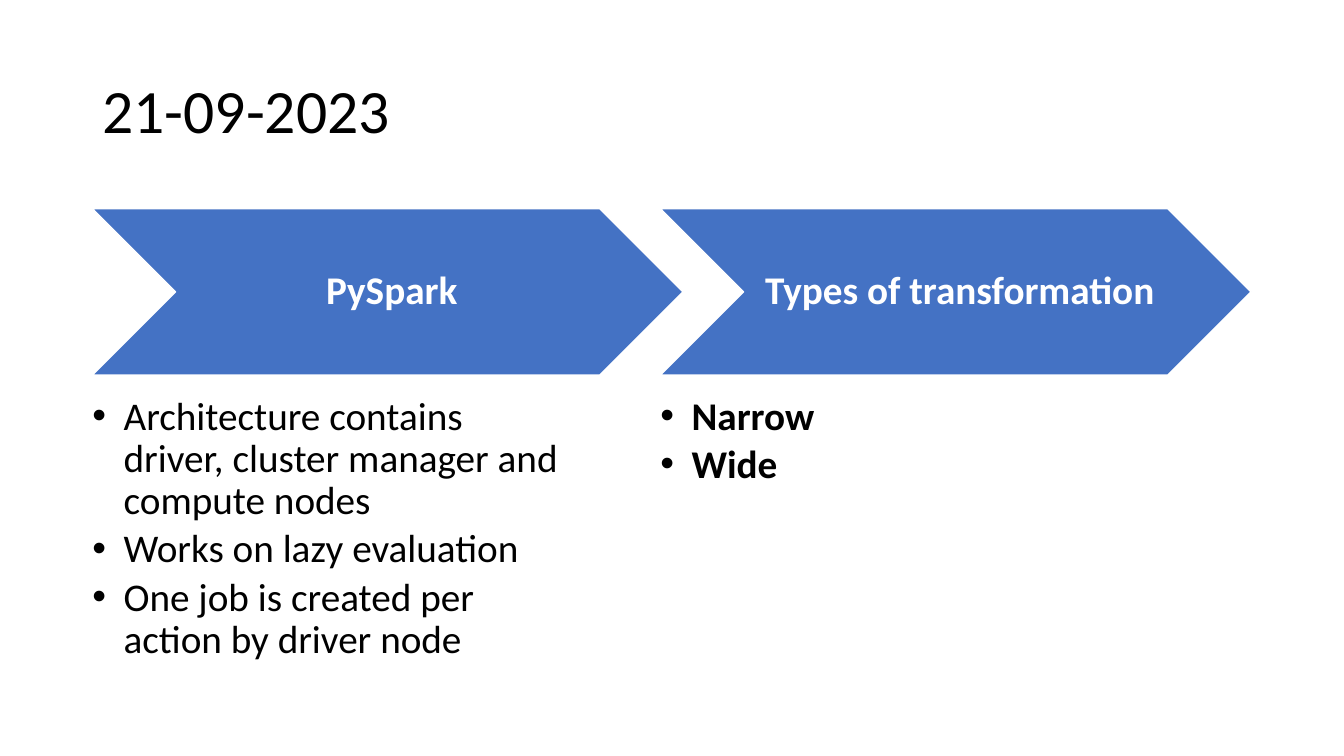
import dataclasses
import pptx
import pptx.util
import pptx.dml.color
import pptx.enum.shapes
import pptx.enum.text
import pptx.oxml.ns
import lxml.etree


@dataclasses.dataclass(frozen=True)
class Theme:
    font: str = "Calibri"
    ink: str = "000000"
    paper: str = "FFFFFF"
    blue: str = "4472C4"
    head: int = 44
    text: int = 28
    line: float = 0.9


class Board:
    """Draws styled elements on one slide, measured on a 160 by 90 grid."""

    def __init__(self, deck, theme):
        self.theme = theme
        self.unit = deck.slide_height / 90
        self.slide = deck.slides.add_slide(deck.slide_layouts[3])

    def span(self, *cells):
        return [round(cell * self.unit) for cell in cells]

    def place(self, holder, *cells):
        holder.left, holder.top, holder.width, holder.height = self.span(*cells)

    def frame(self, shape, anchor, insets=None):
        frame = shape.text_frame
        frame.word_wrap = True
        frame.auto_size = pptx.enum.text.MSO_AUTO_SIZE.NONE
        frame.vertical_anchor = anchor
        if insets:
            (frame.margin_left, frame.margin_top,
             frame.margin_right, frame.margin_bottom) = map(pptx.util.Inches, insets)
        return frame

    def label(self, para, text, size, color, bold=False, align="LEFT", after=0):
        para.alignment = pptx.enum.text.PP_ALIGN[align]
        para.line_spacing = self.theme.line
        para.space_before = pptx.util.Pt(0)
        para.space_after = pptx.util.Pt(after)
        run = para.add_run()
        run.text = text
        font = run.font
        font.name, font.size, font.bold = self.theme.font, pptx.util.Pt(size), bold
        font.color.rgb = pptx.dml.color.RGBColor.from_string(color)

    def title(self, text, *cells):
        holder = self.slide.shapes.title
        self.place(holder, *cells)
        frame = self.frame(holder, pptx.enum.text.MSO_ANCHOR.MIDDLE)
        self.label(frame.paragraphs[0], text, self.theme.head, self.theme.ink)

    def arrow(self, text, *cells):
        shape = self.slide.shapes.add_shape(
            pptx.enum.shapes.MSO_SHAPE.CHEVRON, *self.span(*cells))
        shape.shadow.inherit = False
        shape.fill.solid()
        shape.fill.fore_color.rgb = pptx.dml.color.RGBColor.from_string(self.theme.blue)
        shape.line.color.rgb = pptx.dml.color.RGBColor.from_string(self.theme.paper)
        shape.line.width = pptx.util.Pt(1)
        frame = self.frame(shape, pptx.enum.text.MSO_ANCHOR.MIDDLE, (0.12, 0.04, 0.04, 0.04))
        self.label(frame.paragraphs[0], text, self.theme.text, self.theme.paper, True, "CENTER")

    def list(self, index, items, bold, *cells):
        holder = self.slide.placeholders[index]
        self.place(holder, *cells)
        frame = self.frame(holder, pptx.enum.text.MSO_ANCHOR.TOP, (0, 0, 0, 0))
        for rank, item in enumerate(items):
            para = frame.add_paragraph() if rank else frame.paragraphs[0]
            self.label(para, item, self.theme.text, self.theme.ink, bold, after=4.2)
            self.bullet(para)

    def bullet(self, para):
        props = para._p.get_or_add_pPr()
        indent = pptx.util.Inches(0.31)
        props.set("marL", str(indent))
        props.set("indent", str(-indent))
        mark = lxml.etree.SubElement(props, pptx.oxml.ns.qn("a:buChar"))
        mark.set("char", "•")


deck = pptx.Presentation()
deck.slide_width = pptx.util.Inches(13.33)
deck.slide_height = pptx.util.Inches(7.5)

board = Board(deck, Theme())
left, pitch = 11, 67.6
board.title("21-09-2023", left, 4.8, 138, 17.4)

topics = [
    ("PySpark", False, [
        "Architecture contains driver, cluster manager and compute nodes",
        "Works on lazy evaluation",
        "One job is created per action by driver node",
    ]),
    ("Types of transformation", True, ["Narrow", "Wide"]),
]
for index, (name, bold, items) in enumerate(topics):
    start = left + index * pitch
    board.arrow(name, start, 24.84, 70.3, 19.8)
    board.list(index + 1, items, bold, start, 47.16, 56.3, 33.1)

deck.save("out.pptx")
